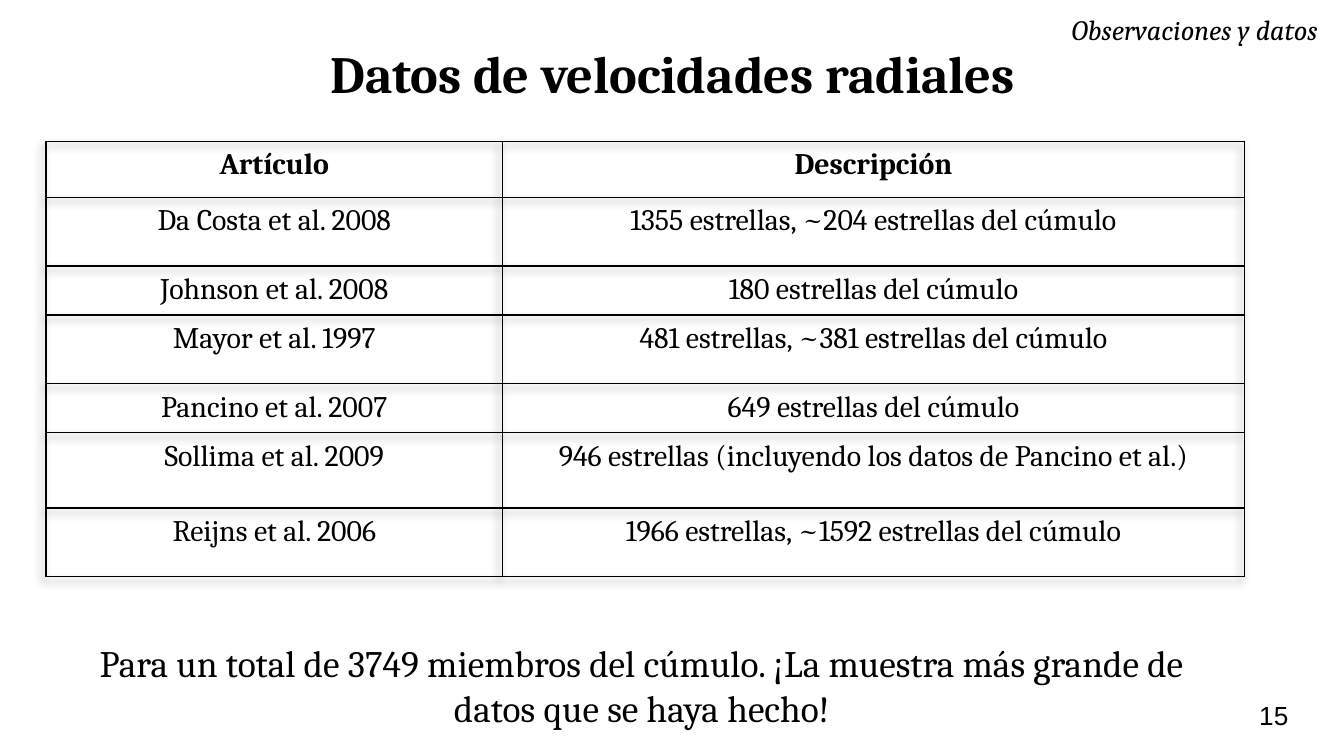
from lxml import etree
from pptx import Presentation
from pptx.dml.color import RGBColor
from pptx.enum.text import MSO_ANCHOR, MSO_AUTO_SIZE, PP_ALIGN
from pptx.oxml import parse_xml
from pptx.oxml.ns import nsdecls, qn
from pptx.util import Pt

PX = 9525
LEFT, CENTER = PP_ALIGN.LEFT, PP_ALIGN.CENTER
TOP, MIDDLE = MSO_ANCHOR.TOP, MSO_ANCHOR.MIDDLE
NO_AUTOFIT = MSO_AUTO_SIZE.NONE
TITLE_ONLY = 5
COLORS = {"ink": "000000", "paper": "FFFFFF"}
SERIF, SANS = "Cambria", "Arial"
COLUMNS = (326, 530)
ROWS = (
    (40, "Artículo", "Descripción"),
    (49, "Da Costa et al. 2008", "1355 estrellas, ~204 estrellas del cúmulo"),
    (35, "Johnson et al. 2008", "180 estrellas del cúmulo"),
    (49, "Mayor et al. 1997", "481 estrellas, ~381 estrellas del cúmulo"),
    (35, "Pancino et al. 2007", "649 estrellas del cúmulo"),
    (54, "Sollima et al. 2009", "946 estrellas (incluyendo los datos de Pancino et al.)"),
    (49, "Reijns et al. 2006", "1966 estrellas, ~1592 estrellas del cúmulo"),
)


def scale(box):
    """Turn a box in px into EMU."""
    return [length * PX for length in box]


def write(frame, text, size, font=SERIF, align=CENTER, bold=False, italic=False):
    """Write one formatted paragraph into a text frame."""
    para = frame.paragraphs[0]
    para.alignment = align
    span = para.add_run()
    span.text = text
    span.font.name = font
    span.font.size = Pt(size)
    span.font.bold = bold
    span.font.italic = italic
    span.font.color.rgb = RGBColor.from_string(COLORS["ink"])


def set_frame(frame, anchor):
    """Give a text frame wrapping, even insets and an anchor."""
    frame.word_wrap = True
    frame.auto_size = NO_AUTOFIT
    frame.vertical_anchor = anchor
    frame.margin_top = frame.margin_bottom = frame.margin_left


def add_title(page, box, text):
    """Place the title placeholder in the box."""
    title = page.shapes.title
    title.left, title.top, title.width, title.height = scale(box)
    set_frame(title.text_frame, TOP)
    write(title.text_frame, text, 28, bold=True)


def add_text(page, box, text, size, anchor=TOP, **style):
    """Place a text box in the box."""
    frame = page.shapes.add_textbox(*scale(box)).text_frame
    set_frame(frame, anchor)
    write(frame, text, size, **style)


def add_borders(cell):
    """Draw a thin line on all four sides of a cell."""
    properties = cell._tc.get_or_add_tcPr()
    for index, side in enumerate(("lnL", "lnR", "lnT", "lnB")):
        line = etree.Element(qn(f"a:{side}"), w=str(Pt(1)))
        fill = etree.SubElement(line, qn("a:solidFill"))
        etree.SubElement(fill, qn("a:srgbClr"), val=COLORS["ink"])
        properties.insert(index, line)


def add_shadow(table):
    """Give the table a soft shadow to the lower left."""
    table._tbl.tblPr.insert(0, parse_xml(
        f'<a:effectLst {nsdecls("a")}><a:outerShdw blurRad="50800" dist="38100" '
        f'dir="8100000" algn="tr" rotWithShape="0"><a:srgbClr val="{COLORS["ink"]}">'
        '<a:alpha val="40000"/></a:srgbClr></a:outerShdw></a:effectLst>'))


def add_sources_table(page, box):
    """Place the table of articles and their star counts."""
    table = page.shapes.add_table(len(ROWS), len(COLUMNS), *scale(box)).table
    table.first_row = table.horz_banding = False
    add_shadow(table)
    for column, width in zip(table.columns, COLUMNS):
        column.width = width * PX
    for index, (height, *texts) in enumerate(ROWS):
        table.rows[index].height = height * PX
        for cell, text in zip(table.rows[index].cells, texts):
            cell.fill.background()
            add_borders(cell)
            write(cell.text_frame, text, 16, bold=index == 0)


def build_page(deck):
    """Build the slide on radial velocity data."""
    page = deck.slides.add_slide(deck.slide_layouts[TITLE_ONLY])
    page.background.fill.solid()
    page.background.fill.fore_color.rgb = RGBColor.from_string(COLORS["paper"])
    add_title(page, (33, 20, 895, 60), "Datos de velocidades radiales")
    add_text(page, (890, 490, 58, 41), "15", 14, MIDDLE, font=SANS, align=LEFT)
    add_sources_table(page, (33, 101, sum(COLUMNS), sum(row[0] for row in ROWS)))
    add_text(page, (49, 448, 819, 83),
             "Para un total de 3749 miembros del cúmulo. "
             "¡La muestra más grande de datos que se haya hecho!", 20)
    add_text(page, (756, -1, 204, 43), "Observaciones y datos", 15,
             align=LEFT, italic=True)


def main():
    """Build and save the deck."""
    deck = Presentation()
    deck.slide_width, deck.slide_height = scale((960, 540))
    build_page(deck)
    deck.save("out.pptx")


if __name__ == "__main__":
    main()
